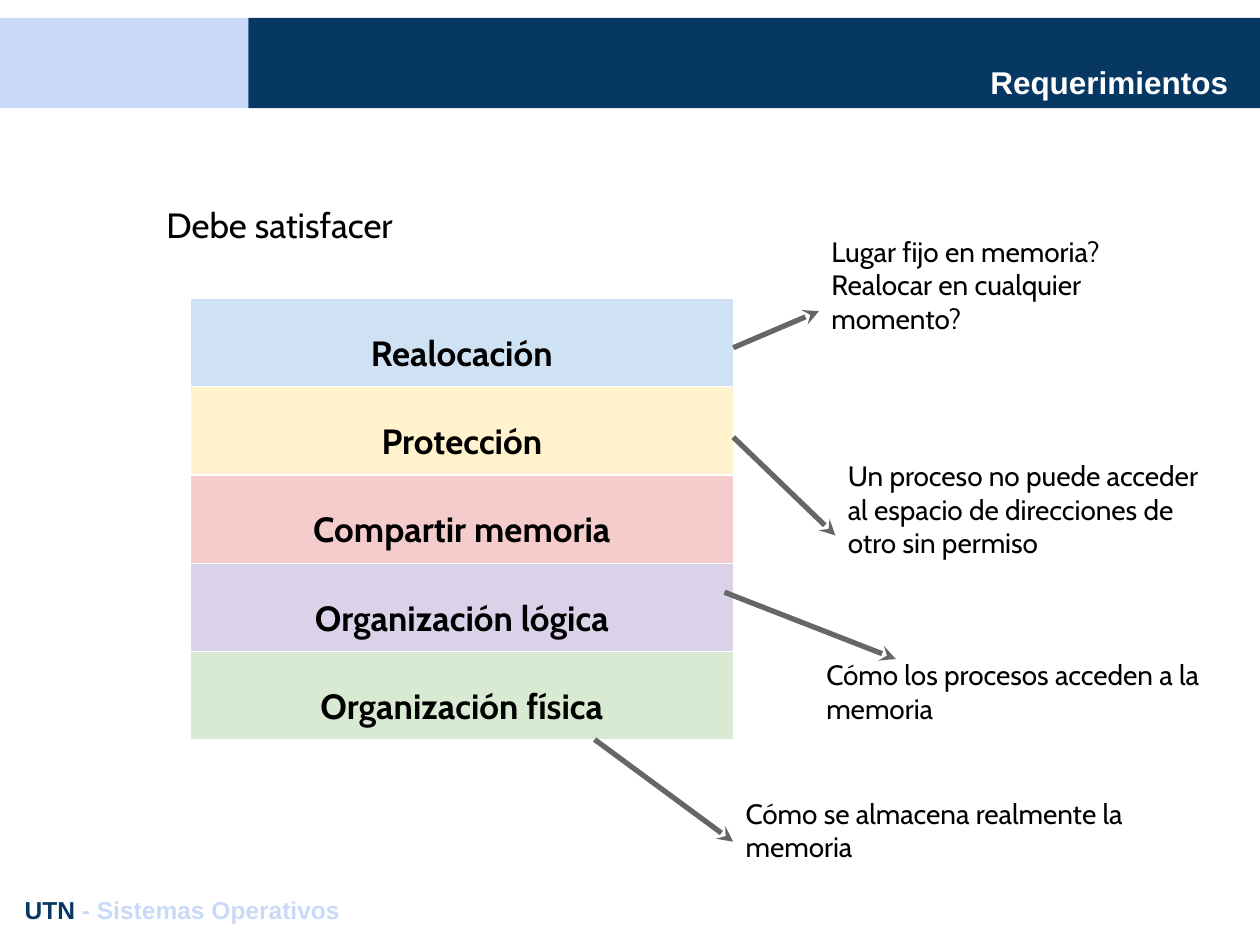
from pptx import Presentation
from pptx.dml.color import RGBColor
from pptx.enum import shapes, text
from pptx.oxml import parse_xml
from pptx.oxml.ns import nsdecls
from pptx.util import Pt

COLORS = {
    "navy": "073763", "sky": "C9DAF8", "white": "FFFFFF", "black": "000000",
    "arrow": "666666", "blue": "CFE2F3", "yellow": "FFF2CC",
    "red": "F4CCCC", "purple": "D9D2E9", "green": "D9EAD3",
}
INSET = Pt(7.2)

REQUIREMENTS = [
    ("Realocación", "blue"),
    ("Protección", "yellow"),
    ("Compartir memoria", "red"),
    ("Organización lógica", "purple"),
    ("Organización física", "green"),
]

# Note box, its paragraphs, and the start and end of its arrow
NOTES = [
    ((468, 126.7, 222.5, 101.5),
     ["Lugar fijo en memoria?", "Realocar en cualquier momento?"],
     (419, 198.7), (468, 177.8)),
    ((477.4, 254.9, 222.5, 101.5),
     ["Un proceso no puede acceder al espacio de direcciones de otro sin permiso"],
     (419, 249.8), (477.4, 306)),
    ((465.1, 368.6, 247, 67),
     ["Cómo los procesos acceden a la memoria"],
     (414, 338.4), (511.9, 376.6)),
    ((419, 447.8, 247, 67),
     ["Cómo se almacena realmente la memoria"],
     (339.8, 422.6), (419, 481)),
]


def rgb(name):
    return RGBColor.from_string(COLORS[name])


def points(values):
    return [Pt(value) for value in values]


def style(font, size, face="Cabin", color="black", bold=False):
    font.size, font.name, font.bold = Pt(size), face, bold
    font.color.rgb = rgb(color)


def add_text(slide, box, lines, size, align=text.PP_ALIGN.LEFT,
             anchor=text.MSO_ANCHOR.TOP, spacing=None, **look):
    frame = slide.shapes.add_textbox(*points(box)).text_frame
    frame.word_wrap = True
    frame.vertical_anchor = anchor
    frame.margin_left = frame.margin_right = INSET
    frame.margin_top = frame.margin_bottom = INSET
    frame.text = "\n".join(lines)
    for paragraph in frame.paragraphs:
        paragraph.alignment = align
        paragraph.line_spacing = spacing
        style(paragraph.font, size, **look)
    return frame


def add_header(slide, box, title):
    left, top, width, height = box
    split = 142
    bands = [(left, split, "sky"), (left + split, width - split, "navy")]
    for band_left, band_width, color in bands:
        band = slide.shapes.add_shape(
            shapes.MSO_SHAPE.RECTANGLE,
            *points((band_left, top, band_width, height)))
        band.shadow.inherit = False
        band.fill.solid()
        band.fill.fore_color.rgb = rgb(color)
        band.line.fill.background()
    add_text(slide, (left + 97, top + 18.8, 612, 36), [title], 18,
             text.PP_ALIGN.RIGHT, text.MSO_ANCHOR.BOTTOM,
             face="Arial", color="white", bold=True)


def add_borders(cell):
    properties = cell._tc.get_or_add_tcPr()
    for index, side in enumerate(("lnL", "lnR", "lnT", "lnB")):
        properties.insert(index, parse_xml(
            f'<a:{side} {nsdecls("a")} w="{Pt(0.75)}"><a:solidFill>'
            f'<a:srgbClr val="{COLORS["white"]}"/></a:solidFill></a:{side}>'))


def add_requirements(slide, box):
    table = slide.shapes.add_table(len(REQUIREMENTS), 1, *points(box)).table
    table.first_row = table.horz_banding = False
    for row, (name, color) in zip(table.rows, REQUIREMENTS):
        cell = row.cells[0]
        cell.fill.solid()
        cell.fill.fore_color.rgb = rgb(color)
        cell.margin_left = cell.margin_right = INSET
        cell.margin_top = cell.margin_bottom = INSET
        cell.text = name
        paragraph = cell.text_frame.paragraphs[0]
        paragraph.alignment = text.PP_ALIGN.CENTER
        paragraph.line_spacing = 1.5
        style(paragraph.font, 20, bold=True)
        add_borders(cell)


def add_note(slide, box, lines, start, end):
    add_text(slide, box, lines, 16)
    arrow = slide.shapes.add_connector(
        shapes.MSO_CONNECTOR.STRAIGHT, *points(start + end))
    arrow.line.color.rgb = rgb("arrow")
    arrow.line.width = Pt(3)
    arrow.line._get_or_add_ln().append(
        parse_xml(f'<a:tailEnd {nsdecls("a")} type="stealth"/>'))
    arrow._element.spPr.append(parse_xml(f'<a:effectLst {nsdecls("a")}/>'))


def add_footer(slide, box):
    frame = add_text(slide, box, ["UTN "], 14,
                     face="Arial", color="navy", bold=True)
    course = frame.paragraphs[0].add_run()
    course.text = "- Sistemas Operativos"
    course.font.color.rgb = rgb("sky")


def main():
    deck = Presentation()
    deck.slide_width, deck.slide_height = Pt(720), Pt(540)
    slide = deck.slides.add_slide(deck.slide_layouts[6])

    add_header(slide, (0, 10.2, 720, 51.6), "Requerimientos")
    add_text(slide, (88, 97, 612, 67), ["Debe satisfacer"], 20, spacing=1.5)
    add_requirements(slide, (108.8, 170.6, 310.3, 209))
    for note in NOTES:
        add_note(slide, *note)
    add_footer(slide, (7, 504, 706, 31.7))

    deck.save("out.pptx")


if __name__ == "__main__":
    main()
